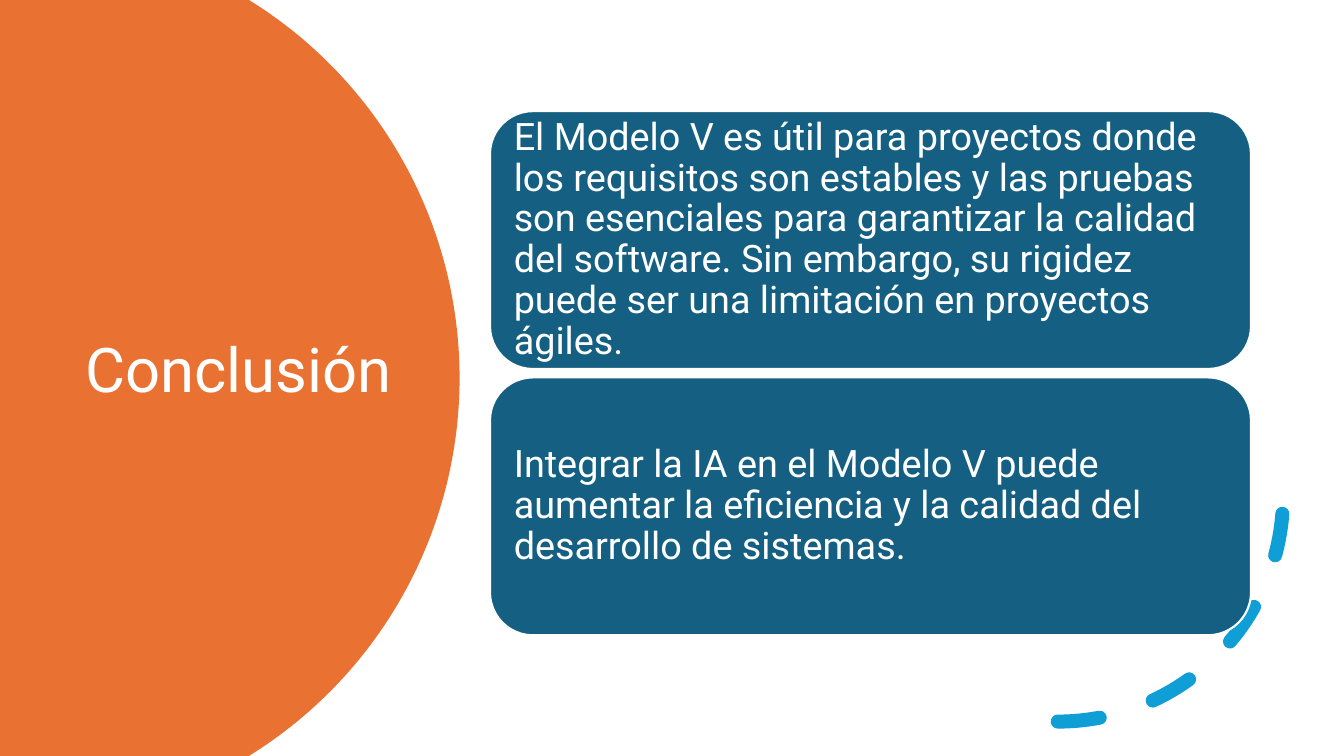
import math
import pptx
import pptx.dml.color
import pptx.enum.dml
import pptx.enum.shapes
import pptx.enum.text
import pptx.util
from lxml import etree

Pt = pptx.util.Pt
SHAPES = pptx.enum.shapes.MSO_SHAPE
FONT = "Roboto"
ORANGE, NAVY, SKY, WHITE = "E97132", "156082", "0F9ED5", "FFFFFF"

TITLE = "Conclusión"
CONCLUSIONS = [
    "El Modelo V es útil para proyectos donde los requisitos son estables y las pruebas "
    "son esenciales para garantizar la calidad del software. Sin embargo, su rigidez "
    "puede ser una limitación en proyectos ágiles.",
    "Integrar la IA en el Modelo V puede aumentar la eficiencia y la calidad del "
    "desarrollo de sistemas.",
]

SLIDE_W, SLIDE_H = 960, 540
DISC_X, DISC_RADIUS, DISC_STEPS = 10.8, 317.5, 120
TITLE_BOX = (54, 90.7, 252, 351.4)
ARC_BOX = (594.7, 193.7, 321.8, 321.8)
CARD_X, CARD_Y, CARD_W, CARD_H, CARD_PITCH = 350, 79.4, 543.6, 184.2, 190.2
CARD_INSET = 8


def color(hex_string):
    return pptx.dml.color.RGBColor.from_string(hex_string)


def paint(shape, fill):
    shape.shadow.inherit = False
    shape.fill.solid()
    shape.fill.fore_color.rgb = color(fill)


def outline(shape, line_color, width):
    shape.line.color.rgb = color(line_color)
    shape.line.width = Pt(width)


def write(frame, text, size):
    frame.word_wrap = True
    frame.vertical_anchor = pptx.enum.text.MSO_ANCHOR.MIDDLE
    paragraph = frame.paragraphs[0]
    paragraph.alignment = pptx.enum.text.PP_ALIGN.LEFT
    paragraph.line_spacing = 0.9
    run = paragraph.add_run()
    run.text = text
    run.font.name = FONT
    run.font.size = Pt(size)
    run.font.color.rgb = color(WHITE)


def add_disc(slide):
    limit = math.asin(SLIDE_H / 2 / DISC_RADIUS)
    angles = [limit * (2 * step / DISC_STEPS - 1) for step in range(DISC_STEPS + 1)]
    edge = [
        (Pt(DISC_X + DISC_RADIUS * math.cos(a)), Pt(SLIDE_H / 2 + DISC_RADIUS * math.sin(a)))
        for a in angles
    ]
    builder = slide.shapes.build_freeform(0, 0)
    builder.add_line_segments(edge + [(0, Pt(SLIDE_H))], close=True)
    disc = builder.convert_to_shape()
    paint(disc, ORANGE)
    disc.line.fill.background()


def add_dashed_arc(slide):
    arc = slide.shapes.add_shape(SHAPES.ARC, *map(Pt, ARC_BOX))
    arc.shadow.inherit = False
    arc.fill.background()
    outline(arc, SKY, 10)
    arc.line.dash_style = pptx.enum.dml.MSO_LINE.DASH
    properties = arc._element.spPr
    properties.xfrm.set("flipV", "1")
    properties.find(pptx.oxml.ns.qn("a:ln")).set("cap", "rnd")


def add_card(slide, index, text):
    card = slide.shapes.add_shape(
        SHAPES.ROUNDED_RECTANGLE,
        Pt(CARD_X), Pt(CARD_Y + index * CARD_PITCH), Pt(CARD_W), Pt(CARD_H),
    )
    paint(card, NAVY)
    outline(card, WHITE, 1.5)
    frame = card.text_frame
    frame.margin_left = frame.margin_right = Pt(CARD_INSET)
    frame.margin_top = frame.margin_bottom = Pt(CARD_INSET)
    write(frame, text, 27)


def main():
    deck = pptx.Presentation()
    deck.slide_width, deck.slide_height = Pt(SLIDE_W), Pt(SLIDE_H)
    slide = deck.slides.add_slide(deck.slide_layouts[6])
    add_disc(slide)
    write(slide.shapes.add_textbox(*map(Pt, TITLE_BOX)).text_frame, TITLE, 44)
    add_dashed_arc(slide)
    for index, text in enumerate(CONCLUSIONS):
        add_card(slide, index, text)
    deck.save("out.pptx")


if __name__ == "__main__":
    main()
